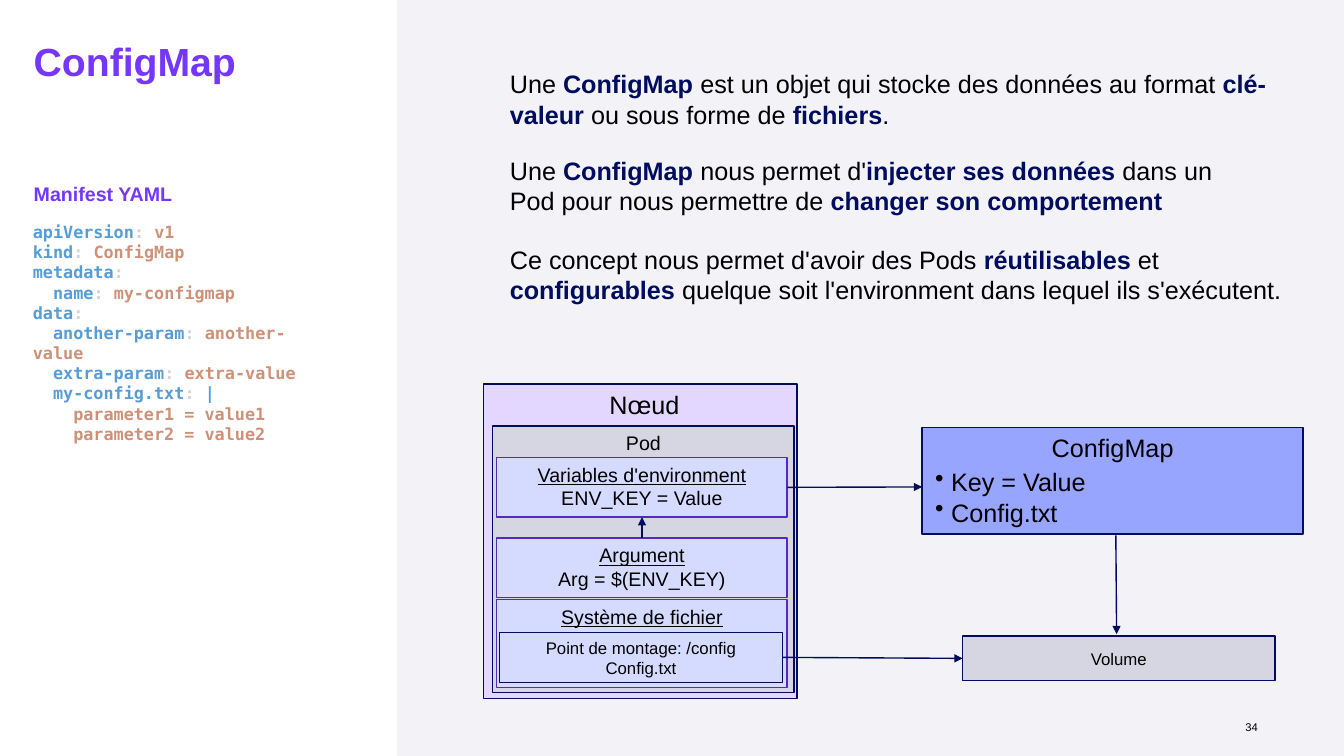
from dataclasses import dataclass
from typing import NamedTuple

from lxml import etree
from pptx import Presentation
from pptx.dml.color import RGBColor
from pptx.enum.shapes import MSO_CONNECTOR, MSO_SHAPE
from pptx.enum.text import MSO_ANCHOR, MSO_AUTO_SIZE, PP_ALIGN
from pptx.oxml.ns import qn
from pptx.util import Cm, Pt

RECT = MSO_SHAPE.RECTANGLE
STRAIGHT = MSO_CONNECTOR.STRAIGHT
TOP, MIDDLE = MSO_ANCHOR.TOP, MSO_ANCHOR.MIDDLE
LEFT, CENTER, RIGHT = PP_ALIGN.LEFT, PP_ALIGN.CENTER, PP_ALIGN.RIGHT
NO_FIT = MSO_AUTO_SIZE.NONE

BLACK = RGBColor(0x00, 0x00, 0x00)
NAVY = RGBColor(0x00, 0x0D, 0x5E)
PURPLE = RGBColor(0x75, 0x36, 0xFF)
VIOLET = RGBColor(0x57, 0x28, 0xBD)
LILAC = RGBColor(0xE3, 0xD7, 0xFF)
PALE = RGBColor(0xF3, 0xF3, 0xF7)
GREY = RGBColor(0xD6, 0xD6, 0xE3)
SKY = RGBColor(0xD5, 0xDB, 0xFF)
BLUE = RGBColor(0x97, 0xA5, 0xFF)
KEY = RGBColor(0x56, 0x9C, 0xD6)
COLON = RGBColor(0xD4, 0xD4, 0xD4)
VALUE = RGBColor(0xCE, 0x91, 0x78)

SANS, MONO = "Arial", "DejaVu Sans Mono"
# Sides of a rectangle
NORTH, WEST, SOUTH, EAST = range(4)


class Run(NamedTuple):
    text: str
    color: RGBColor = BLACK
    bold: bool = False
    under: bool = False


class Area(NamedTuple):
    left: float
    top: float
    width: float
    height: float


@dataclass
class Block:
    name: str
    area: Area
    fill: RGBColor | None
    line: RGBColor | None = NAVY
    lines: tuple[Run, ...] = ()
    size: float = 14
    anchor: MSO_ANCHOR = TOP
    weight: float = 1


@dataclass
class Link:
    start: str
    side: int
    end: str
    goal: int


YAML = """apiVersion: v1
kind: ConfigMap
metadata:
  name: my-configmap
data:
  another-param: another-value
  extra-param: extra-value
  my-config.txt: |
    parameter1 = value1
    parameter2 = value2"""

# Stars enclose key words, a tilde is a no-break space
PROSE = (
    (Area(12.6, 1.6, 20.22, 1.12),
     "Une *ConfigMap *est un objet qui stocke des données au format "
     "*clé-valeur *ou~sous forme de~*fichiers*."),
    (Area(12.6, 3.78, 19.94, 1.93),
     "Une *ConfigMap *nous permet d'*injecter~ses données* dans un "
     "Pod~pour nous permettre de *changer son comportement*"),
    (Area(12.6, 6.02, 21.39, 1.93),
     "Ce concept nous permet d'avoir des Pods~*réutilisables* et "
     "*configurables~*quelque~soit~l'environment~dans~lequel~ils~s'exécutent."),
)

BLOCKS = (
    Block("panel", Area(10.01, 0, 23.86, 19.05), PALE, None),
    Block("node", Area(12.19, 9.68, 7.9, 7.92), LILAC),
    Block("pod", Area(12.42, 10.74, 7.59, 6.71), GREY, lines=(Run("Pod"),)),
    Block("volume", Area(24.26, 16.03, 7.87, 1.12), GREY,
          lines=(Run("Volume"),), size=12, anchor=MIDDLE),
    Block("files", Area(12.52, 15.11, 7.32, 2.21), SKY, VIOLET,
          (Run("Système de fichier", under=True),)),
    Block("mount", Area(12.6, 15.93, 7.11, 1.27), None,
          lines=(Run("Point de montage: /config"), Run("Config.txt")),
          size=12, weight=0.75),
    Block("config", Area(23.24, 10.77, 9.6, 2.69), BLUE),
    Block("env", Area(12.52, 11.53, 7.32, 1.5), SKY, VIOLET,
          (Run("Variables d'environment", under=True), Run("ENV_KEY = Value"))),
    Block("arg", Area(12.52, 13.56, 7.32, 1.5), SKY, VIOLET,
          (Run("Argument", under=True), Run("Arg = $(ENV_KEY)"))),
)

LINKS = (
    Link("mount", EAST, "volume", WEST),
    Link("arg", NORTH, "env", SOUTH),
)


def write(shape, lines, *, size, face=SANS, align=LEFT, anchor=TOP,
          space=1.0, bullet=False):
    """Fill a shape with lines, each one a sequence of runs."""
    frame = shape.text_frame
    frame.word_wrap, frame.auto_size = True, NO_FIT
    frame.vertical_anchor = anchor
    frame.margin_left = frame.margin_right = Cm(0.25)
    frame.margin_top = frame.margin_bottom = Cm(0.13)
    for i, runs in enumerate(lines):
        para = frame.paragraphs[0] if i == 0 else frame.add_paragraph()
        para.alignment, para.line_spacing = align, space
        para.space_before = Pt(0)
        if bullet:
            props = para._p.get_or_add_pPr()
            props.set("marL", str(Cm(0.4)))
            props.set("indent", str(-Cm(0.4)))
            etree.SubElement(props, qn("a:buChar")).set("char", "•")
        for item in runs:
            run = para.add_run()
            run.text = item.text
            font = run.font
            font.name, font.size = face, Pt(size)
            font.bold, font.underline = item.bold, item.under
            font.color.rgb = item.color


def place(shape, area: Area) -> None:
    shape.left, shape.top, shape.width, shape.height = map(Cm, area)


def label(slide, area: Area, lines, **style):
    box = slide.shapes.add_textbox(*map(Cm, area))
    write(box, lines, **style)


def draw(slide, block: Block):
    shape = slide.shapes.add_shape(RECT, *map(Cm, block.area))
    shape.shadow.inherit = False
    if block.fill is None:
        shape.fill.background()
    else:
        shape.fill.solid()
        shape.fill.fore_color.rgb = block.fill
    if block.line is None:
        shape.line.fill.background()
    else:
        shape.line.color.rgb = block.line
        shape.line.width = Pt(block.weight)
    if block.lines:
        write(shape, [[run] for run in block.lines], size=block.size,
              align=CENTER, anchor=block.anchor)
    return shape


def arrow(slide, x1: float = 0, y1: float = 0, x2: float = 0, y2: float = 0):
    line = slide.shapes.add_connector(STRAIGHT, *map(Cm, (x1, y1, x2, y2)))
    line.line.color.rgb, line.line.width = NAVY, Pt(1)
    tip = etree.SubElement(line.line._get_or_add_ln(), qn("a:tailEnd"))
    tip.set("type", "triangle")
    etree.SubElement(line._element.spPr, qn("a:effectLst"))
    return line


def prose(text: str) -> list[Run]:
    parts = text.replace("~", chr(160)).split("*")
    return [Run(part, NAVY if i % 2 else BLACK, bool(i % 2))
            for i, part in enumerate(parts) if part]


def code(text: str) -> list[Run]:
    name, colon, value = text.partition(":")
    if not colon:
        return [Run(text, VALUE, True)]
    runs = [Run(name, KEY, True), Run(": " if value else ":", COLON, True)]
    if value:
        runs.append(Run(value.strip(), KEY if "|" in value else VALUE, True))
    return runs


def main() -> None:
    deck = Presentation()
    deck.slide_width, deck.slide_height = Cm(33.87), Cm(19.05)
    slide = deck.slides.add_slide(deck.slide_layouts[5])

    # Left column: title and manifest
    title = slide.shapes.title
    place(title, Area(0.6, 0.94, 8.84, 4.45))
    write(title, [[Run("ConfigMap", PURPLE, True)]], size=28, space=0.9)
    label(slide, Area(0.6, 4.52, 4.8, 0.86),
          [[Run("Manifest YAML", PURPLE, True)]], size=14, space=0.9)
    label(slide, Area(0.58, 5.46, 7.62, 5.89),
          [code(row) for row in YAML.splitlines()], size=12, face=MONO)

    # Diagram boxes and their labels
    shapes = {block.name: draw(slide, block) for block in BLOCKS}
    label(slide, Area(12.34, 9.68, 7.8, 1.14), [[Run("Nœud")]],
          size=18, align=CENTER)
    label(slide, Area(23.24, 10.77, 9.6, 1.02), [[Run("ConfigMap")]],
          size=18, align=CENTER)
    label(slide, Area(23.32, 11.63, 7.77, 2.57),
          [[Run("Key = Value")], [Run("Config.txt")]], size=18, bullet=True)

    # Arrows
    for link in LINKS:
        line = arrow(slide)
        line.begin_connect(shapes[link.start], link.side)
        line.end_connect(shapes[link.end], link.goal)
    arrow(slide, 19.84, 12.28, 23.24, 12.27).begin_connect(shapes["env"], EAST)
    arrow(slide, 28.12, 13.49, 28.14, 15.98)

    # Explanation and page number
    for area, text in PROSE:
        label(slide, area, [prose(text)], size=18)
    label(slide, Area(24.33, 18.01, 7.62, 0.66), [[Run("34")]],
          size=8, align=RIGHT)

    deck.save("out.pptx")


if __name__ == "__main__":
    main()
